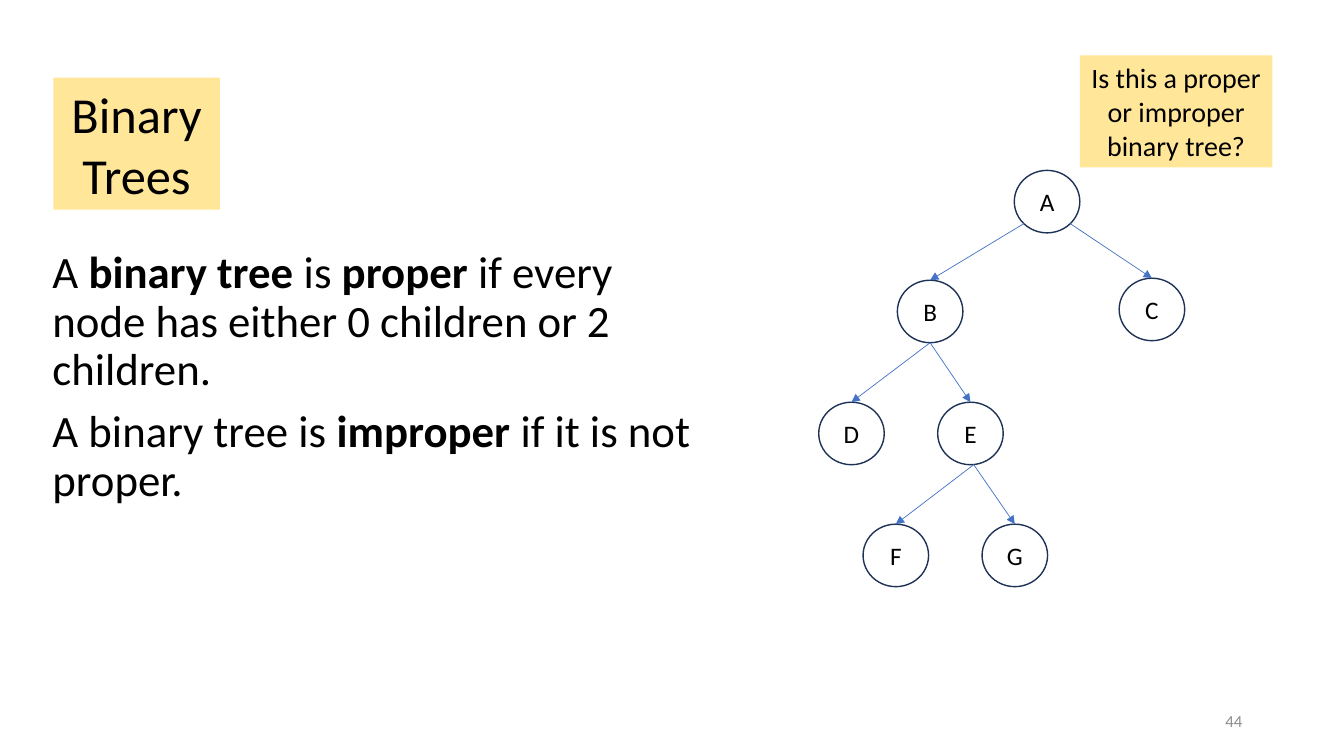
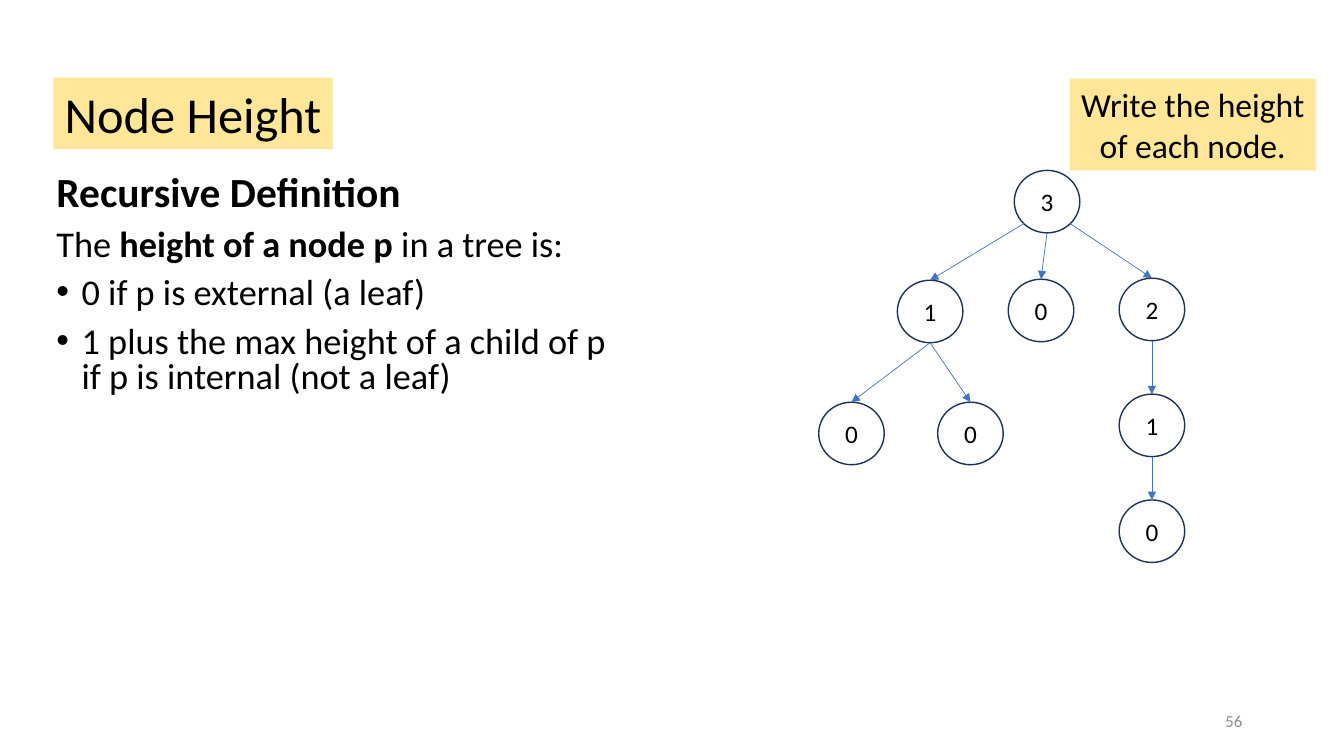
from lxml.etree import SubElement
from pptx import Presentation
from pptx.dml.color import RGBColor
from pptx.enum.shapes import MSO_CONNECTOR, MSO_SHAPE
from pptx.enum.text import MSO_ANCHOR, MSO_AUTO_SIZE, PP_ALIGN
from pptx.oxml.ns import qn
from pptx.util import Inches, Pt

BLACK = RGBColor(0x00, 0x00, 0x00)
GRAY = RGBColor(0x8C, 0x8C, 0x8C)
YELLOW = RGBColor(0xFF, 0xE6, 0x99)
NAVY = RGBColor(0x1E, 0x32, 0x56)
BLUE = RGBColor(0x44, 0x72, 0xC4)
FONT = "Calibri"

NODE_WIDTH, NODE_HEIGHT = 0.65, 0.62
NUMBER_BOX = (9.42, 6.95, 3, 0.4)
BULLET_INDENT = 0.25

SPOTS = {
    "root": (10.06, 1.69),
    "left": (8.9, 2.78),
    "middle": (10, 2.77),
    "right": (11.1, 2.76),
    "left-left": (8.12, 3.99),
    "left-right": (9.3, 3.99),
    "inner-left": (8.56, 5.2),
    "inner-right": (9.74, 5.2),
    "right-child": (11.1, 3.91),
    "right-grandchild": (11.1, 4.96),
}
LOWER_LEFT, LOWER_RIGHT = (0.15, 0.85), (0.85, 0.85)
BOTTOM, BOTTOM_OFFSET = (0.5, 1), (0.55, 1)
SHARED_EDGES = [
    ("root", "left", LOWER_LEFT),
    ("root", "right", LOWER_RIGHT),
    ("left", "left-left", BOTTOM),
    ("left", "left-right", BOTTOM),
]

PAGES = [
    {
        "title": ("Binary Trees", (0.53, 0.77, 1.65, 1.31), 36),
        "callout": ("Is this a proper or improper binary tree?", (10.71, 0.55, 1.91, 1.11), 20),
        "body_box": (0.42, 2.43, 6.59, 3.79),
        "line_spacing": 0.9,
        "body": [
            (32, False, [("A ", False), ("binary tree ", True), ("is ", False), ("proper", True),
                         (" if every node has either 0 children or 2 children.", False)]),
            (32, False, [("A binary tree is ", False), ("improper", True),
                         (" if it is not proper.", False)]),
        ],
        "nodes": {"root": "A", "left": "B", "right": "C", "left-left": "D", "left-right": "E",
                  "inner-left": "F", "inner-right": "G"},
        "edges": [("left-right", "inner-left", BOTTOM_OFFSET),
                  ("left-right", "inner-right", BOTTOM_OFFSET)],
        "number": "44",
    },
    {
        "title": ("Node Height", (0.53, 0.77, 2.77, 0.71), 36),
        "callout": ("Write the height of each node.", (10.61, 0.78, 2.44, 0.91), 24),
        "body_box": (0.46, 1.69, 7.26, 2.42),
        "line_spacing": 0.8,
        "body": [
            (29.6, False, [("Recursive Definition", True)]),
            (25.9, False, [("The ", False), ("height of a node p ", True),
                           ("in a tree is:", False)]),
            (25.9, True, [("0 if p is external (a leaf)", False)]),
            (25.9, True, [("1 plus the max height of a child of p\nif p is internal (not a leaf)",
                           False)]),
        ],
        "nodes": {"root": "3", "left": "1", "middle": "0", "right": "2", "right-child": "1",
                  "left-left": "0", "left-right": "0", "right-grandchild": "0"},
        "edges": [("root", "middle", BOTTOM),
                  ("right", "right-child", BOTTOM),
                  ("right-child", "right-grandchild", BOTTOM)],
        "number": "56",
    },
]


def place(shape, box):
    shape.left, shape.top, shape.width, shape.height = (Inches(value) for value in box)


def format_font(para, size, color=BLACK):
    para.font.name = FONT
    para.font.size = Pt(size)
    para.font.color.rgb = color


def write_text(shape, text, size, color=BLACK, align=PP_ALIGN.CENTER):
    frame = shape.text_frame
    frame.word_wrap = True
    frame.auto_size = MSO_AUTO_SIZE.NONE
    frame.vertical_anchor = MSO_ANCHOR.MIDDLE
    para = frame.paragraphs[0]
    para.text = text
    para.alignment = align
    format_font(para, size, color)


def fill_label(shape, label):
    text, box, size = label
    place(shape, box)
    shape.fill.solid()
    shape.fill.fore_color.rgb = YELLOW
    write_text(shape, text, size)


def set_bullet(para, bulleted):
    properties = para._p.get_or_add_pPr()
    indent = Inches(BULLET_INDENT) if bulleted else 0
    properties.set("marL", str(indent))
    properties.set("indent", str(-indent))
    if bulleted:
        SubElement(properties, qn("a:buFont")).set("typeface", "Arial")
        SubElement(properties, qn("a:buChar")).set("char", "•")
    else:
        SubElement(properties, qn("a:buNone"))


def fill_body(shape, box, paragraphs, line_spacing):
    place(shape, box)
    frame = shape.text_frame
    frame.word_wrap = True
    frame.auto_size = MSO_AUTO_SIZE.NONE
    frame.vertical_anchor = MSO_ANCHOR.TOP
    for index, (size, bulleted, spans) in enumerate(paragraphs):
        para = frame.add_paragraph() if index else frame.paragraphs[0]
        para.line_spacing = line_spacing
        para.space_before = Pt(10)
        set_bullet(para, bulleted)
        format_font(para, size)
        for text, bold in spans:
            for row, line in enumerate(text.split("\n")):
                if row:
                    para.add_line_break()
                span = para.add_run()
                span.text = line
                span.font.bold = bold


def add_node(page, spot, label):
    node = page.shapes.add_shape(MSO_SHAPE.OVAL, 0, 0, 0, 0)
    place(node, (*SPOTS[spot], NODE_WIDTH, NODE_HEIGHT))
    node.shadow.inherit = False
    node.fill.background()
    node.line.color.rgb = NAVY
    node.line.width = Pt(1)
    write_text(node, label, 18)
    frame = node.text_frame
    frame.margin_left = frame.margin_right = frame.margin_top = frame.margin_bottom = 0
    return node


def add_edge(page, parent, child, start):
    across, down = start
    begin_x = parent.left + round(across * parent.width)
    begin_y = parent.top + round(down * parent.height)
    edge = page.shapes.add_connector(MSO_CONNECTOR.STRAIGHT, begin_x, begin_y, begin_x, begin_y)
    edge.end_connect(child, 0)
    edge.line.color.rgb = BLUE
    edge.line.width = Pt(0.5)
    SubElement(edge.line._get_or_add_ln(), qn("a:tailEnd")).set("type", "triangle")
    SubElement(edge._element.spPr, qn("a:effectLst"))


def build_page(deck, content):
    page = deck.slides.add_slide(deck.slide_layouts[1])
    fill_label(page.shapes.title, content["title"])
    fill_body(page.placeholders[1], content["body_box"], content["body"], content["line_spacing"])
    nodes = {spot: add_node(page, spot, label) for spot, label in content["nodes"].items()}
    for parent, child, start in SHARED_EDGES + content["edges"]:
        add_edge(page, nodes[parent], nodes[child], start)
    fill_label(page.shapes.add_textbox(0, 0, 0, 0), content["callout"])
    number = page.shapes.add_textbox(0, 0, 0, 0)
    place(number, NUMBER_BOX)
    write_text(number, content["number"], 12, GRAY, PP_ALIGN.RIGHT)


def main():
    deck = Presentation()
    deck.slide_width, deck.slide_height = Inches(13.33), Inches(7.5)
    for content in PAGES:
        build_page(deck, content)
    deck.save("out.pptx")


if __name__ == "__main__":
    main()
